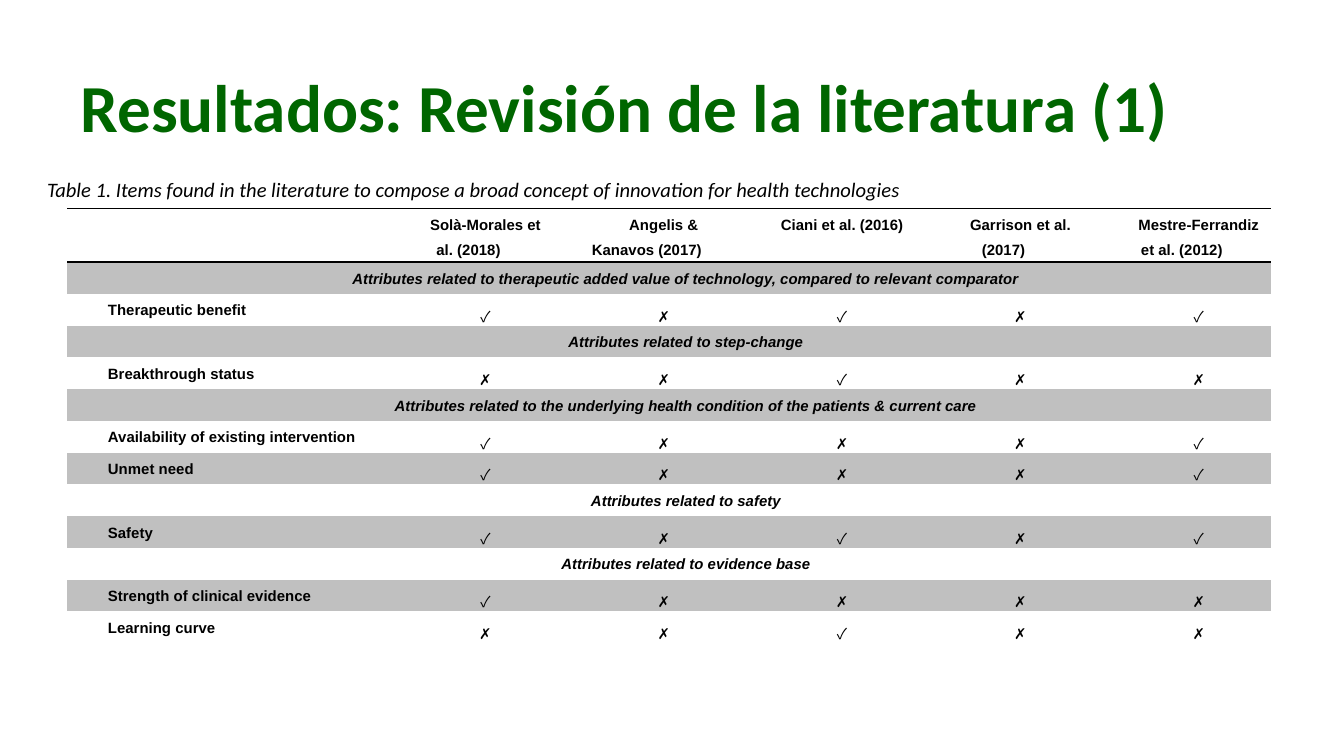
from dataclasses import dataclass

from lxml import etree
from pptx import Presentation
from pptx.dml.color import RGBColor
from pptx.enum.text import MSO_ANCHOR, PP_ALIGN
from pptx.oxml.ns import qn
from pptx.util import Cm, Pt

LEFT, CENTER = PP_ALIGN.LEFT, PP_ALIGN.CENTER
MIDDLE = MSO_ANCHOR.MIDDLE
PLAIN_TABLE_STYLE = "{2D5ABB26-0587-4C30-8999-92F81FD0307C}"
FIRST_LINE_INDENT = Cm(0.64)


@dataclass(frozen=True)
class Theme:
    green: str = "006600"
    black: str = "000000"
    band: str = "C0C0C0"
    heading_font: str = "Calibri"
    table_font: str = "Arial"
    mark_font: str = "Noto Sans CJK JP"
    title_size: int = 36
    caption_size: int = 11
    table_size: int = 8


STUDIES = [
    "Solà-Morales et al. (2018)",
    "Angelis & Kanavos (2017)",
    "Ciani et al. (2016)",
    "Garrison et al. (2017)",
    "Mestre-Ferrandiz et al. (2012)",
]

# Rows without marks are section headings across the whole table.
ATTRIBUTES = [
    ("Attributes related to therapeutic added value of technology, "
     "compared to relevant comparator", ""),
    ("Therapeutic benefit", "✓✗✓✗✓"),
    ("Attributes related to step-change", ""),
    ("Breakthrough status", "✗✗✓✗✗"),
    ("Attributes related to the underlying health condition of the patients "
     "& current care", ""),
    ("Availability of existing intervention", "✓✗✗✗✓"),
    ("Unmet need", "✓✗✗✗✓"),
    ("Attributes related to safety", ""),
    ("Safety", "✓✗✓✗✓"),
    ("Attributes related to evidence base", ""),
    ("Strength of clinical evidence", "✓✗✗✗✗"),
    ("Learning curve", "✗✗✓✗✗"),
]


class SlideBuilder:
    def __init__(self, slide, theme):
        self.slide = slide
        self.theme = theme

    def set_text(self, para, text, font, size, color, bold=False, italic=False):
        para.text = text
        para.font.name = font
        para.font.size = Pt(size)
        para.font.bold = bold
        para.font.italic = italic
        para.font.color.rgb = RGBColor.from_string(color)

    def indent(self, para):
        """Indent the first line only."""
        properties = para._p.get_or_add_pPr()
        properties.set("marL", "0")
        properties.set("indent", str(FIRST_LINE_INDENT))

    def text_box(self, left, top, width, height):
        """Add an empty, vertically centred box and return its paragraph."""
        box = self.slide.shapes.add_textbox(Cm(left), Cm(top), Cm(width), Cm(height))
        box.text_frame.word_wrap = True
        box.text_frame.vertical_anchor = MIDDLE
        return box.text_frame.paragraphs[0]

    def title(self, text):
        para = self.text_box(1.27, 0.81, 22.66, 2.39)
        self.set_text(para, text, self.theme.heading_font, self.theme.title_size,
                      self.theme.green, bold=True)

    def caption(self, text):
        para = self.text_box(0, 2.95, 25.4, 1.27)
        self.set_text(para, text, self.theme.heading_font, self.theme.caption_size,
                      self.theme.black, italic=True)
        self.indent(para)

    def cell_text(self, cell, text, align=CENTER, italic=False):
        para = cell.text_frame.paragraphs[0]
        self.set_text(para, text, self.theme.table_font, self.theme.table_size,
                      self.theme.black, bold=True, italic=italic)
        para.alignment = align
        para.line_spacing = 1.5
        self.indent(para)
        return para

    def cell_mark(self, cell, mark):
        para = self.cell_text(cell, mark)
        para.font.bold = False
        para.font.name = self.theme.mark_font
        latin = para.font._element.find(qn("a:latin"))
        east_asian = etree.Element(qn("a:ea"), typeface=self.theme.mark_font)
        latin.addnext(east_asian)

    def cell_rules(self, cell):
        """Draw a 1 pt line above and below a cell."""
        properties = cell._tc.get_or_add_tcPr()
        for position, side in enumerate(("a:lnT", "a:lnB")):
            line = etree.Element(qn(side), w=str(Pt(1)))
            fill = etree.SubElement(line, qn("a:solidFill"))
            etree.SubElement(fill, qn("a:srgbClr"), val=self.theme.black)
            properties.insert(position, line)

    def empty_table(self, row_count, column_count):
        """Add an unstyled table whose odd rows are shaded."""
        frame = self.slide.shapes.add_table(
            row_count, column_count, Cm(1.27), Cm(3.94), Cm(22.76), Cm(8.21))
        for style in frame.element.iter(qn("a:tableStyleId")):
            style.text = PLAIN_TABLE_STYLE
        table = frame.table
        table.first_row = table.horz_banding = False
        for index, column in enumerate(table.columns):
            column.width = Cm(3.37 if index else 5.9)
        for index, row in enumerate(table.rows):
            row.height = Cm(0.6 if index else 1.01)
            for cell in row.cells:
                cell.margin_left = cell.margin_right = Cm(0.13)
                cell.margin_top = cell.margin_bottom = 0
                if index % 2:
                    cell.fill.solid()
                    cell.fill.fore_color.rgb = RGBColor.from_string(self.theme.band)
                else:
                    cell.fill.background()
        return table

    def attribute_table(self, studies, attributes):
        table = self.empty_table(len(attributes) + 1, len(studies) + 1)
        last_column = len(studies)
        for column in range(last_column + 1):
            self.cell_rules(table.cell(0, column))
        for column, study in enumerate(studies, start=1):
            self.cell_text(table.cell(0, column), study)
        for row, (label, marks) in enumerate(attributes, start=1):
            first = table.cell(row, 0)
            if not marks:
                first.merge(table.cell(row, last_column))
                self.cell_text(first, label, italic=True)
                continue
            self.cell_text(first, label, align=LEFT)
            for column, mark in enumerate(marks, start=1):
                self.cell_mark(table.cell(row, column), mark)


def main():
    deck = Presentation()
    deck.slide_width, deck.slide_height = Cm(25.4), Cm(14.29)
    page = SlideBuilder(deck.slides.add_slide(deck.slide_layouts[6]), Theme())
    page.title("Resultados: Revisión de la literatura (1)")
    page.caption("Table 1. Items found in the literature to compose a broad "
                 "concept of innovation for health technologies")
    page.attribute_table(STUDIES, ATTRIBUTES)
    deck.save("out.pptx")


if __name__ == "__main__":
    main()
